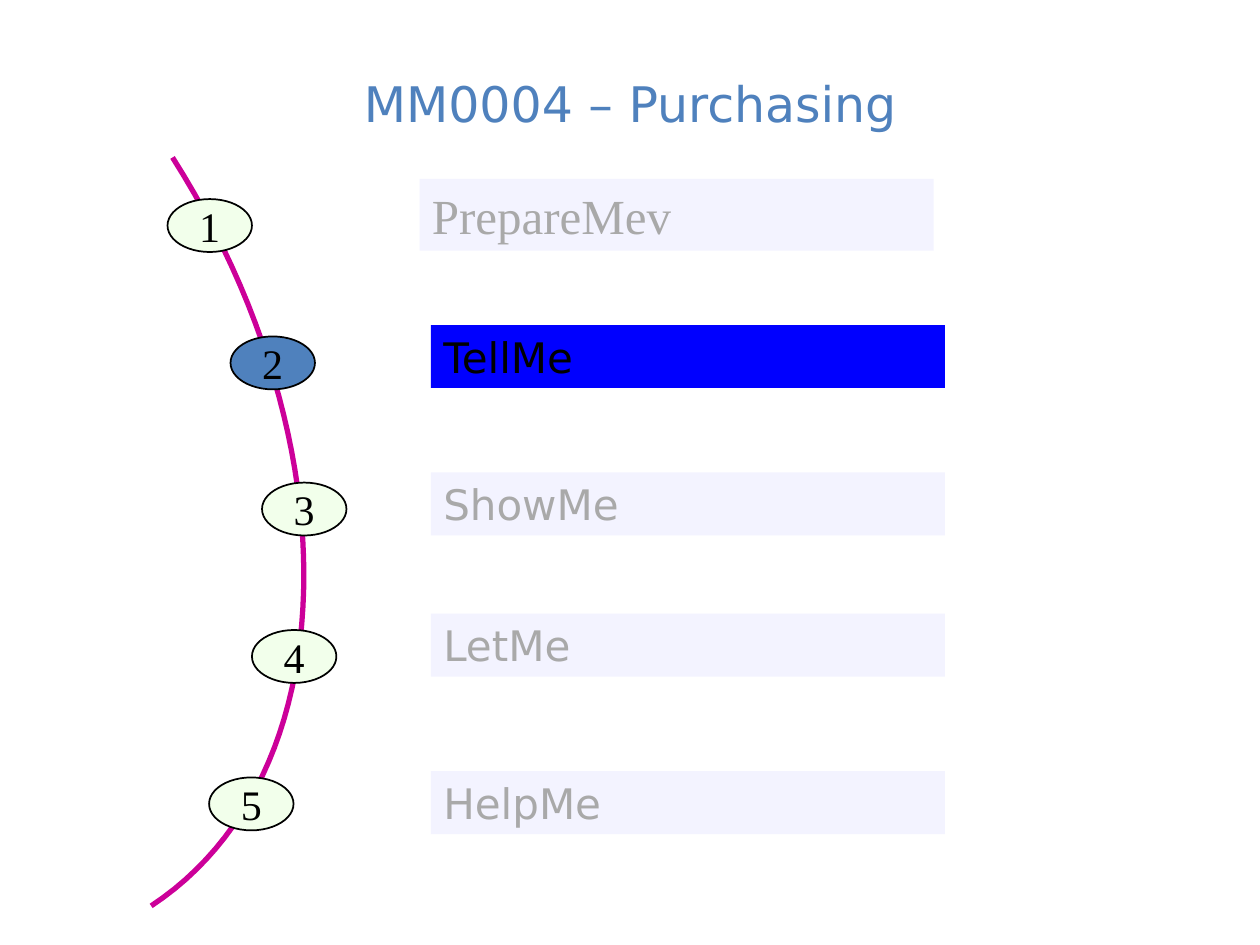
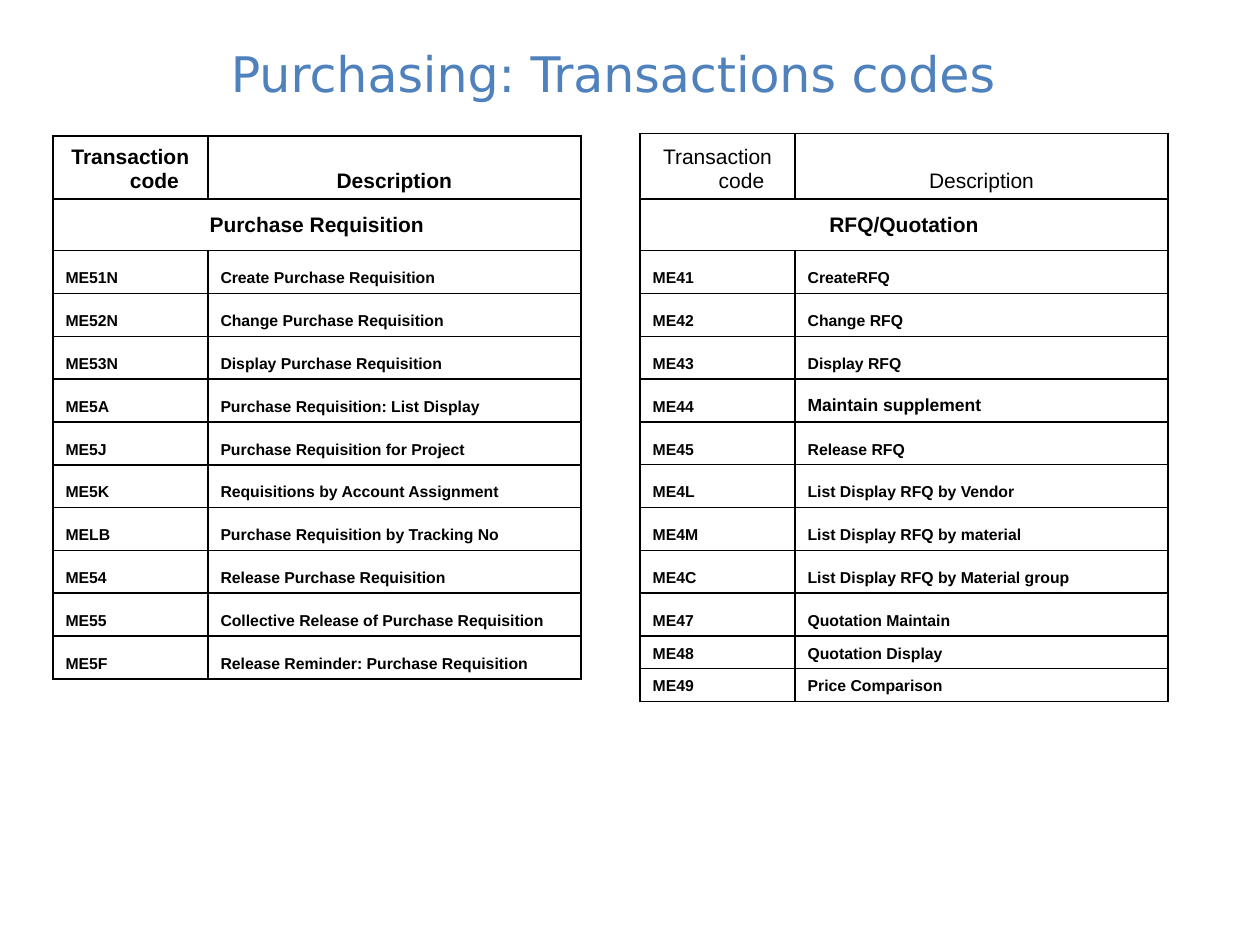
from lxml.etree import SubElement
from pptx import Presentation
from pptx.dml.color import RGBColor
from pptx.enum.shapes import MSO_SHAPE
from pptx.enum.text import MSO_ANCHOR, MSO_AUTO_SIZE, PP_ALIGN
from pptx.oxml.ns import qn
from pptx.util import Inches, Pt

COLORS = {
    "title": "4F81BD", "curve": "CC0099", "oval": "F2FFEB", "now": "4F81BD",
    "bar": "F3F3FF", "bar_now": "0000FF", "faded": "A9A9A9",
    "ink": "000000", "paper": "FFFFFF",
}
SANS, SERIF, ARIAL = "DejaVu Sans", "Times New Roman", "Arial"

# label, oval (left, top), bar (left, top, height), font, size
STEPS = [
    ("PrepareMev", (1.33, 1.58), (3.33, 1.42, 0.57), SERIF, 28),
    ("TellMe", (1.83, 2.67), (3.42, 2.58, 0.5), SANS, 24),
    ("ShowMe", (2.08, 3.83), (3.42, 3.75, 0.5), SANS, 24),
    ("LetMe", (2, 5), (3.42, 4.87, 0.5), SANS, 24),
    ("HelpMe", (1.66, 6.17), (3.42, 6.12, 0.5), SANS, 24),
]
CURRENT = 2
CURVE = [(1.37, 1.25), (2.82, 3.54), (2.75, 6.17), (1.2, 7.19)]

HEADS = ("Transaction code", "Description")
WIDTHS = (1.23, 2.96)
TABLES = [
    {"at": (0.42, 1.08), "group": "Purchase Requisition", "bold": True,
     "heights": [0.5, 0.41] + [0.34] * 10, "large": (),
     "rows": [
         ("ME51N", "Create Purchase Requisition"),
         ("ME52N", "Change Purchase Requisition"),
         ("ME53N", "Display Purchase Requisition"),
         ("ME5A", "Purchase Requisition: List Display"),
         ("ME5J", "Purchase Requisition for Project"),
         ("ME5K", "Requisitions by Account Assignment"),
         ("MELB", "Purchase Requisition by Tracking No"),
         ("ME54", "Release Purchase Requisition"),
         ("ME55", "Collective Release of Purchase Requisition"),
         ("ME5F", "Release Reminder: Purchase Requisition"),
     ]},
    {"at": (5.08, 1.06), "group": "RFQ/Quotation", "bold": False,
     "heights": [0.52, 0.41] + [0.34] * 9 + [0.26] * 2,
     "large": ("Maintain supplement",),
     "rows": [
         ("ME41", "CreateRFQ"),
         ("ME42", "Change RFQ"),
         ("ME43", "Display RFQ"),
         ("ME44", "Maintain supplement"),
         ("ME45", "Release RFQ"),
         ("ME4L", "List Display RFQ by Vendor"),
         ("ME4M", "List Display RFQ by material"),
         ("ME4C", "List Display RFQ by Material group"),
         ("ME47", "Quotation Maintain"),
         ("ME48", "Quotation Display"),
         ("ME49", "Price Comparison"),
     ]},
]


def rgb(name):
    return RGBColor.from_string(COLORS[name])


def write(frame, text, font, size, color, align, bold=False):
    frame.text = text
    para = frame.paragraphs[0]
    para.alignment = align
    for run in para.runs:
        run.font.name, run.font.size, run.font.bold = font, Pt(size), bold
        run.font.color.rgb = rgb(color)
    return para


def add_slide(deck, text, box):
    slide = deck.slides.add_slide(deck.slide_layouts[5])
    title = slide.shapes.title
    title.left, title.top, title.width, title.height = map(Inches, box)
    frame = title.text_frame
    frame.vertical_anchor = MSO_ANCHOR.MIDDLE
    write(frame, text, SANS, 28, "title", PP_ALIGN.CENTER)
    return slide


def add_curve(slide, count=48):
    """Draw the Bezier curve as a fine open outline."""
    a, b, c, d = CURVE
    dots = []
    for i in range(count + 1):
        t = i / count
        u = 1 - t
        dots.append(tuple(
            Inches(u**3 * p + 3 * u * u * t * q + 3 * u * t * t * r + t**3 * s)
            for p, q, r, s in zip(a, b, c, d)))
    pen = slide.shapes.build_freeform(*dots[0])
    pen.add_line_segments(dots[1:], close=False)
    curve = pen.convert_to_shape()
    curve.shadow.inherit = False
    curve.fill.background()
    curve.line.color.rgb = rgb("curve")
    curve.line.width = Pt(3)


def add_block(slide, kind, box, fill):
    block = slide.shapes.add_shape(kind, *map(Inches, box))
    block.shadow.inherit = False
    block.fill.solid()
    block.fill.fore_color.rgb = rgb(fill)
    return block


def add_step(slide, num, step):
    label, spot, (left, top, height), font, size = step
    now = num == CURRENT
    oval = add_block(slide, MSO_SHAPE.OVAL, (*spot, 0.67, 0.42),
                     "now" if now else "oval")
    oval.line.color.rgb = rgb("ink")
    oval.line.width = Pt(1)
    frame = oval.text_frame
    frame.word_wrap = False
    frame.vertical_anchor = MSO_ANCHOR.MIDDLE
    write(frame, str(num), SERIF, 24, "ink", PP_ALIGN.CENTER)

    bar = add_block(slide, MSO_SHAPE.RECTANGLE, (left, top, 4.08, height),
                    "bar_now" if now else "bar")
    bar.line.fill.background()
    frame = bar.text_frame
    frame.vertical_anchor = MSO_ANCHOR.TOP
    frame.auto_size = MSO_AUTO_SIZE.SHAPE_TO_FIT_TEXT
    write(frame, label, font, size, "ink" if now else "faded", PP_ALIGN.LEFT)


def style_cell(cell):
    props = cell._tc.get_or_add_tcPr()
    for side in ("a:lnL", "a:lnR", "a:lnT", "a:lnB"):
        line = SubElement(props, qn(side), w=str(Pt(1)))
        fill = SubElement(line, qn("a:solidFill"))
        SubElement(fill, qn("a:srgbClr"), val=COLORS["ink"])
    cell.fill.solid()
    cell.fill.fore_color.rgb = rgb("paper")


def fill_cell(cell, text, size, bold, align, anchor=MSO_ANCHOR.BOTTOM):
    para = write(cell.text_frame, text, ARIAL, size, "ink", align, bold)
    props = para._p.get_or_add_pPr()
    props.set("marL", str(Inches(0.38)))
    props.set("indent", str(-Inches(0.38)))
    cell.vertical_anchor = anchor


def add_codes(slide, data):
    heights = data["heights"]
    box = (*data["at"], sum(WIDTHS), sum(heights))
    table = slide.shapes.add_table(len(heights), len(WIDTHS),
                                   *map(Inches, box)).table
    table.first_row = table.horz_banding = False
    for col, width in zip(table.columns, WIDTHS):
        col.width = Inches(width)
    for row, height in zip(table.rows, heights):
        row.height = Inches(height)
    for cell in table.iter_cells():
        style_cell(cell)

    for col, head in enumerate(HEADS):
        fill_cell(table.cell(0, col), head, 12, data["bold"], PP_ALIGN.CENTER)
    group = table.cell(1, 0)
    group.merge(table.cell(1, 1))
    fill_cell(group, data["group"], 12, True, PP_ALIGN.CENTER,
              MSO_ANCHOR.MIDDLE)
    for row, pair in enumerate(data["rows"], 2):
        for col, text in enumerate(pair):
            size = 10 if text in data["large"] else 9
            fill_cell(table.cell(row, col), text, size, True, PP_ALIGN.LEFT)


def main():
    deck = Presentation()
    deck.slide_width, deck.slide_height = Inches(10), Inches(7.5)

    slide = add_slide(deck, "MM0004 – Purchasing", (0.5, 0.3, 9, 1.03))
    add_curve(slide)
    for num, step in enumerate(STEPS, 1):
        add_step(slide, num, step)

    slide = add_slide(deck, "Purchasing: Transactions codes",
                      (0.09, 0.21, 9.55, 0.73))
    for data in TABLES:
        add_codes(slide, data)

    deck.save("out.pptx")


if __name__ == "__main__":
    main()
